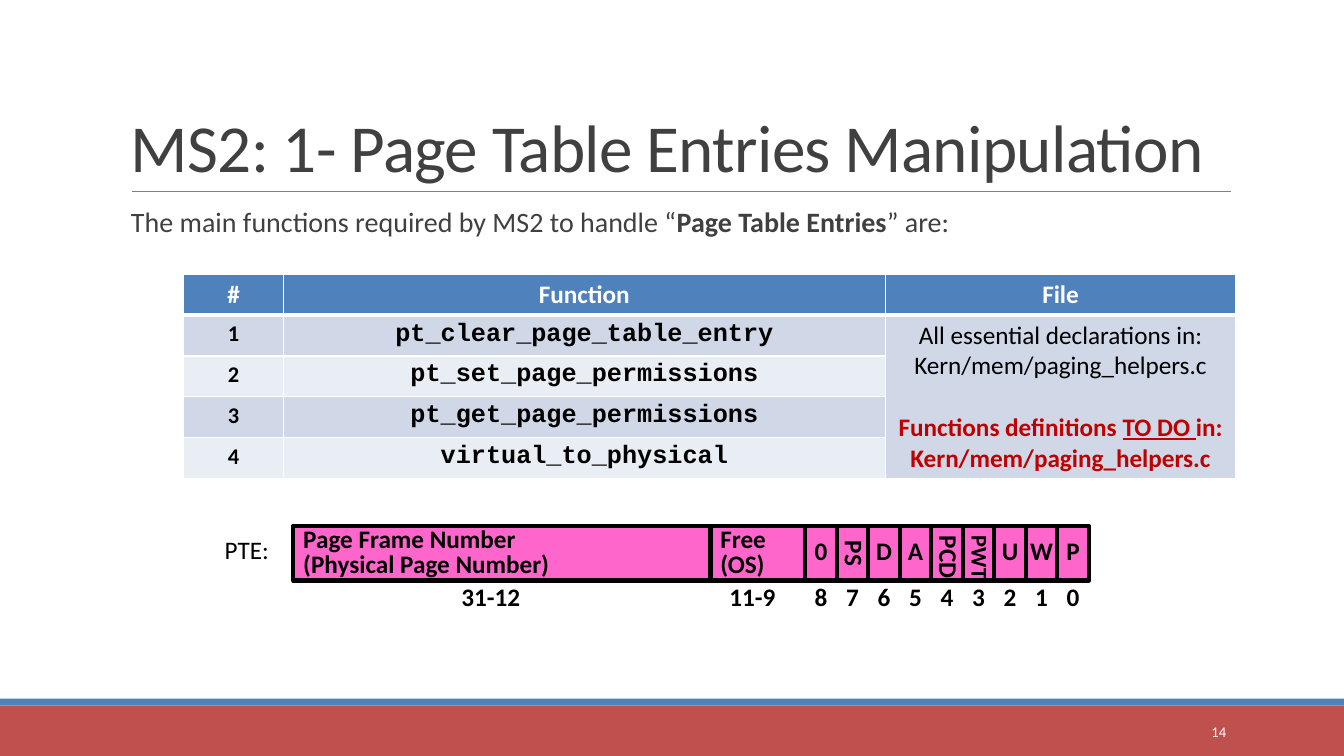
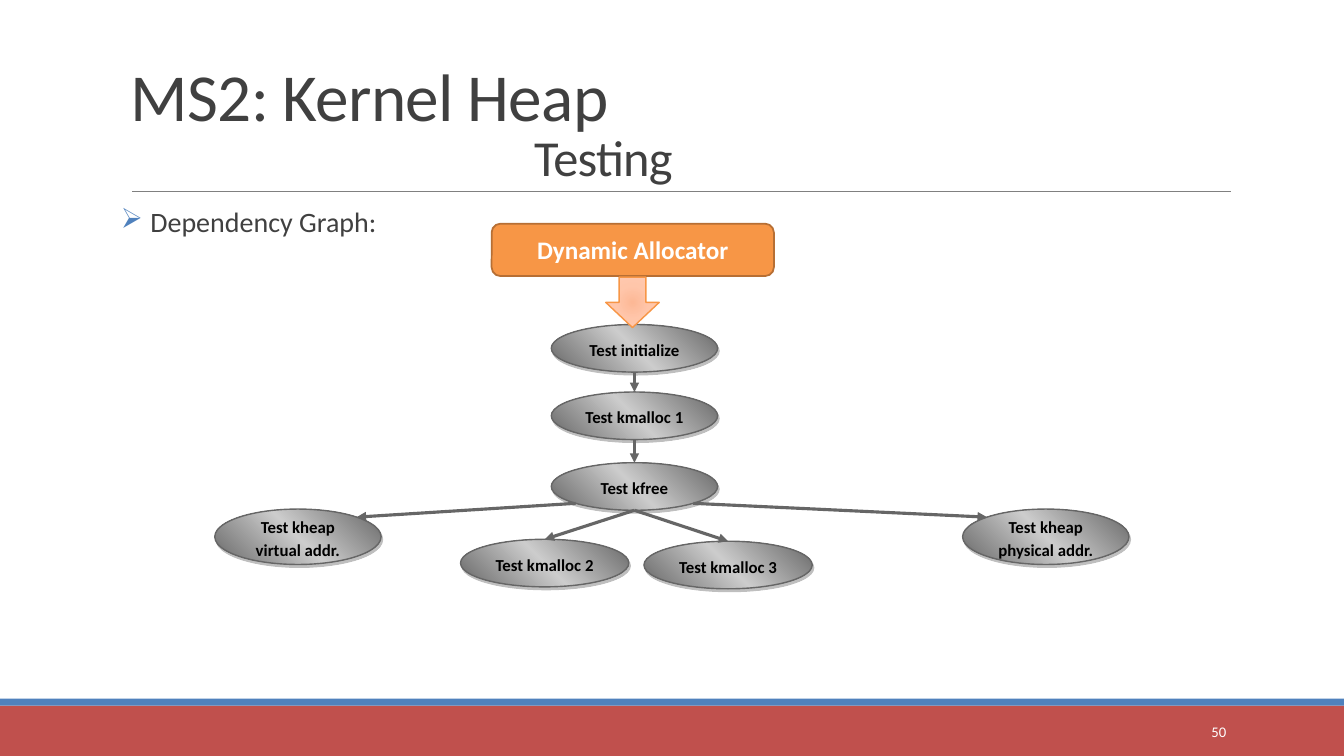
"""Build two slides on page table entries and kernel heap testing."""
import math

import pptx
import pptx.dml.color
import pptx.enum.shapes
import pptx.enum.text
import pptx.oxml
import pptx.oxml.ns
import pptx.util
from lxml import etree

Pt = pptx.util.Pt
qn = pptx.oxml.ns.qn
SHAPE = pptx.enum.shapes.MSO_SHAPE
ALIGN = pptx.enum.text.PP_ALIGN
ANCHOR = pptx.enum.text.MSO_ANCHOR
STRAIGHT = pptx.enum.shapes.MSO_CONNECTOR.STRAIGHT

WIDTH, HEIGHT = 960, 540
BLUE, RED, WHITE, BLACK = "4F81BD", "C0504D", "FFFFFF", "000000"
DARK, RULE, GRAY, SILVER = "404040", "808080", "666666", "CCCCCC"
PINK, ORANGE, BROWN, ALERT = "FF66CC", "F79646", "B76F34", "C00000"
BANDS = ("D0D8E8", "E9EDF4")
TOP, TOP_LEFT, BOTTOM_LEFT, BOTTOM, BOTTOM_RIGHT, TOP_RIGHT = 0, 1, 3, 4, 5, 7
NODE_WIDTH, NODE_HEIGHT = 118.8, 34


def color(value):
    return pptx.dml.color.RGBColor.from_string(value)


def add_run(paragraph, text, size=18, tint=BLACK, bold=False, font="Calibri",
            underline=False, spacing=0):
    run = paragraph.add_run()
    run.text = text
    run.font.name = font
    run.font.size = Pt(size)
    run.font.bold = bold
    run.font.underline = underline
    run.font.color.rgb = color(tint)
    if spacing:
        run.font._element.set("spc", str(int(spacing * 100)))


def write(frame, paragraphs, align=ALIGN.LEFT, line=1.0, **style):
    """Each paragraph is a list of (text, style changes) runs."""
    for index, runs in enumerate(paragraphs):
        paragraph = frame.paragraphs[0] if index == 0 else frame.add_paragraph()
        paragraph.alignment = align
        paragraph.line_spacing = line
        for text, changes in runs:
            add_run(paragraph, text, **{**style, **changes})


def plain(*lines):
    return [[(line, {})] for line in lines]


def set_frame(frame, anchor=ANCHOR.TOP, wrap=True, sides=7.2, ends=3.6):
    frame.word_wrap = wrap
    frame.vertical_anchor = anchor
    frame.margin_left = frame.margin_right = Pt(sides)
    frame.margin_top = frame.margin_bottom = Pt(ends)


def add_text(slide, box, paragraphs, frame_style=None, **style):
    frame = slide.shapes.add_textbox(*map(Pt, box)).text_frame
    set_frame(frame, **(frame_style or {}))
    write(frame, paragraphs, **style)
    return frame


def add_shape(slide, kind, box, fill=None, line=None, weight=1):
    shape = slide.shapes.add_shape(kind, *map(Pt, box))
    shape.shadow.inherit = False
    if fill:
        shape.fill.solid()
        shape.fill.fore_color.rgb = color(fill)
    if line:
        shape.line.color.rgb = color(line)
        shape.line.width = Pt(weight)
    else:
        shape.line.fill.background()
    return shape


def set_gradient(shape, stops, direction):
    shape.fill.gradient()
    properties = shape._element.spPr
    marks = "".join(f'<a:gs pos="{position * 1000}"><a:srgbClr val="{tint}"/></a:gs>'
                    for position, tint in stops)
    gradient = pptx.oxml.parse_xml(
        f'<a:gradFill {pptx.oxml.ns.nsdecls("a")} rotWithShape="1">'
        f'<a:gsLst>{marks}</a:gsLst>{direction}</a:gradFill>')
    properties.replace(properties.find(qn("a:gradFill")), gradient)


def set_drop_shadow(shape):
    effects = shape._element.spPr.find(qn("a:effectLst"))
    effects.append(pptx.oxml.parse_xml(
        f'<a:outerShdw {pptx.oxml.ns.nsdecls("a")} dist="28000" dir="3780000" '
        'algn="ctr" rotWithShape="0"><a:srgbClr val="808080">'
        '<a:alpha val="50000"/></a:srgbClr></a:outerShdw>'))


def add_line(slide, start, end, tint, weight, arrow=False):
    connector = slide.shapes.add_connector(STRAIGHT, *map(Pt, (*start, *end)))
    connector.line.color.rgb = color(tint)
    connector.line.width = Pt(weight)
    if arrow:
        etree.SubElement(connector.line._get_or_add_ln(), qn("a:tailEnd"), type="triangle")
    etree.SubElement(connector._element.spPr, qn("a:effectLst"))
    return connector


def set_indent(paragraph, left, first=0):
    properties = paragraph._p.get_or_add_pPr()
    properties.set("marL", str(int(Pt(left))))
    properties.set("indent", str(int(Pt(first))))
    return properties


def add_base(presentation, title, number):
    """Add a slide with the title, rule, bands and number all slides share."""
    slide = presentation.slides.add_slide(presentation.slide_layouts[6])
    add_shape(slide, SHAPE.RECTANGLE, (0, 504, WIDTH, 36), RED)
    add_shape(slide, SHAPE.RECTANGLE, (0, 499, WIDTH, 5), BLUE)
    add_line(slide, (94.5, 136.8), (879, 136.8), RULE, 0.5)
    frame = add_text(slide, (86.4, 22.3, 873.4, 114.5), title, {"anchor": ANCHOR.BOTTOM},
                     line=0.85, size=48, tint=DARK, spacing=-0.5)
    for subtitle in frame.paragraphs[1:]:
        set_indent(subtitle, 288)
    add_text(slide, (780, 508.5, 103, 28.8), plain(number), {"anchor": ANCHOR.MIDDLE},
             align=ALIGN.RIGHT, size=10.5, tint=WHITE)
    return slide


def add_lead(slide, runs, bullet=None):
    frame = add_text(slide, (86.4, 145.4, 792, 34.6), [runs], {"sides": 0},
                     line=0.9, size=20, tint=DARK)
    paragraph = frame.paragraphs[0]
    paragraph.space_before, paragraph.space_after = Pt(12), Pt(2)
    if bullet:
        properties = set_indent(paragraph, 21, -21)
        tint = etree.SubElement(properties, qn("a:buClr"))
        etree.SubElement(tint, qn("a:srgbClr"), val=BLUE)
        etree.SubElement(properties, qn("a:buChar"), char=bullet)
    else:
        set_indent(paragraph, 7.2)


def style_cell(cell, fill, bottom=1):
    cell.fill.solid()
    cell.fill.fore_color.rgb = color(fill)
    properties = cell._tc.get_or_add_tcPr()
    for index, side in enumerate("LRTB"):
        weight = bottom if side == "B" else 1
        properties.insert(index, pptx.oxml.parse_xml(
            f'<a:ln{side} {pptx.oxml.ns.nsdecls("a")} w="{int(Pt(weight))}">'
            f'<a:solidFill><a:srgbClr val="{WHITE}"/></a:solidFill></a:ln{side}>'))


def add_function_table(slide, functions):
    rows = len(functions) + 1
    widths = (71.3, 429.8, 250.6)
    table = slide.shapes.add_table(rows, 3, Pt(131.2), Pt(195.8), Pt(sum(widths)),
                                   Pt(29.25 * rows)).table
    table.horz_banding = False
    for column, width in zip(table.columns, widths):
        column.width = Pt(width)
    for row in table.rows:
        row.height = Pt(29.25)
    for column, heading in enumerate(("#", "Function", "File")):
        style_cell(table.cell(0, column), BLUE, 3)
        write(table.cell(0, column).text_frame, plain(heading), ALIGN.CENTER,
              tint=WHITE, bold=True)
    for row, function in enumerate(functions, 1):
        for column in range(3):
            style_cell(table.cell(row, column), BANDS[0 if column == 2 else (row - 1) % 2])
        write(table.cell(row, 0).text_frame, plain(str(row)), ALIGN.CENTER,
              size=16, bold=True)
        write(table.cell(row, 1).text_frame, plain(function), ALIGN.CENTER,
              bold=True, font="Courier New")
    files = table.cell(1, 2)
    files.merge(table.cell(rows - 1, 2))
    files.vertical_anchor = ANCHOR.MIDDLE
    alert = {"tint": ALERT, "bold": True}
    write(files.text_frame, [
        *plain("All essential declarations in:", "Kern/mem/paging_helpers.c"),
        [("Functions definitions ", alert), ("TO DO ", {**alert, "underline": True}),
         ("in:", alert)],
        [("Kern/mem/paging_helpers.c", alert)]], ALIGN.CENTER)
    files.text_frame.paragraphs[2].space_before = Pt(22)


def add_field(slide, left, width, lines, bits, align=ALIGN.CENTER, vertical=None,
              size=18, shift=0):
    """Draw one field of the entry with its bit numbers below."""
    shape = add_shape(slide, SHAPE.RECTANGLE, (left, 375.8, width, 38.9), PINK, BLACK, 3)
    frame = shape.text_frame
    set_frame(frame, ANCHOR.MIDDLE, wrap=False)
    if vertical:
        frame._txBody.bodyPr.set("vert", vertical)
    write(frame, plain(*lines), align, 0.85, size=size, bold=True)
    add_text(slide, (left + width / 2 + shift - 30, 414.7, 60, 25.9), plain(bits),
             align=ALIGN.CENTER, line=0.85, bold=True)


def add_entry_layout(slide):
    add_text(slide, (153.4, 378, 56.2, 28.8), plain("PTE:"), {"wrap": False})
    add_field(slide, 209.5, 298, ("Page Frame Number", "(Physical Page Number)"),
              "31-12", ALIGN.LEFT, shift=-8)
    add_field(slide, 507.5, 67.75, ("Free", "(OS)"), "11-9", ALIGN.LEFT, shift=-4)
    special = {"PS": {"vertical": "vert"},
               "PCD": {"vertical": "eaVert", "align": ALIGN.LEFT},
               "PWT": {"vertical": "eaVert", "align": ALIGN.LEFT, "size": 16}}
    flags = ("0", "PS", "D", "A", "PCD", "PWT", "U", "W", "P")
    for index, flag in enumerate(flags):
        add_field(slide, 575.25 + 22.5 * index, 22.5, (flag,),
                  str(len(flags) - 1 - index), **special.get(flag, {}))


def add_node(slide, text, left, top, width=NODE_WIDTH, height=NODE_HEIGHT):
    node = add_shape(slide, SHAPE.OVAL, (left, top, width, height), line=GRAY)
    set_gradient(node, ((0, GRAY), (50, SILVER), (100, GRAY)),
                 '<a:lin ang="18900000" scaled="1"/>')
    set_drop_shadow(node)
    set_frame(node.text_frame, ANCHOR.MIDDLE, sides=0, ends=0)
    write(node.text_frame, plain(text), ALIGN.CENTER, 1.15, size=12, bold=True)
    node.text_frame.paragraphs[0].space_after = Pt(10)
    return node


def site_point(node, site):
    """Return the point of an oval's site, counted anticlockwise from the top."""
    angle = math.radians(90 + 45 * site)
    return (node.left.pt + node.width.pt / 2 * (1 + math.cos(angle)),
            node.top.pt + node.height.pt / 2 * (1 - math.sin(angle)))


def join_nodes(slide, source, source_site, target, target_site):
    connector = add_line(slide, site_point(source, source_site),
                         site_point(target, target_site), GRAY, 2.25, arrow=True)
    links = connector._element.nvCxnSpPr.cNvCxnSpPr
    for tag, node, site in (("a:stCxn", source, source_site),
                            ("a:endCxn", target, target_site)):
        etree.SubElement(links, qn(tag), id=str(node.shape_id), idx=str(site))


def add_dependency_graph(slide):
    initialize = add_node(slide, "Test initialize", 393.8, 231.8)
    first = add_node(slide, "Test kmalloc 1", 393.8, 280)
    free = add_node(slide, "Test kfree", 393.8, 330.5)
    virtual = add_node(slide, "Test kheap virtual addr.", 153.4, 363.6, height=39.6)
    physical = add_node(slide, "Test kheap physical addr.", 687.6, 363.6, height=39.6)
    second = add_node(slide, "Test kmalloc 2", 329, 385.2, 120.2)
    third = add_node(slide, "Test kmalloc 3", 460, 386.6, 120.2)
    for link in ((initialize, BOTTOM, first, TOP), (first, BOTTOM, free, TOP),
                 (free, BOTTOM_LEFT, virtual, TOP_RIGHT),
                 (free, BOTTOM_RIGHT, physical, TOP_LEFT),
                 (free, BOTTOM, second, TOP), (free, BOTTOM, third, TOP)):
        join_nodes(slide, *link)
    allocator = add_shape(slide, SHAPE.ROUNDED_RECTANGLE, (351.2, 159.8, 201.6, 37.4),
                          ORANGE, BROWN, 1.25)
    set_frame(allocator.text_frame, ANCHOR.MIDDLE)
    write(allocator.text_frame, plain("Dynamic Allocator"), ALIGN.CENTER,
          tint=WHITE, bold=True)
    arrow = add_shape(slide, SHAPE.DOWN_ARROW, (432.7, 198, 38.2, 36), line=ORANGE)
    set_gradient(arrow, ((0, "FDB896"), (45, "FFC6AA"), (100, "FFCCB5")),
                 '<a:path path="circle"><a:fillToRect l="50000" t="50000" '
                 'r="50000" b="50000"/></a:path>')


def main():
    presentation = pptx.Presentation()
    presentation.slide_width, presentation.slide_height = Pt(WIDTH), Pt(HEIGHT)

    slide = add_base(presentation, plain("MS2: 1- Page Table Entries Manipulation"), "14")
    add_lead(slide, [("The main functions required by MS2 to handle “", {}),
                     ("Page Table Entries", {"bold": True}), ("” are:", {})])
    add_function_table(slide, ("pt_clear_page_table_entry", "pt_set_page_permissions",
                               "pt_get_page_permissions", "virtual_to_physical"))
    add_entry_layout(slide)

    slide = add_base(presentation, [[("MS2: Kernel Heap", {})],
                                    [("Testing", {"size": 36})]], "50")
    add_lead(slide, [("Dependency Graph:", {})], bullet="➢")
    add_dependency_graph(slide)

    presentation.save("out.pptx")


if __name__ == "__main__":
    main()
